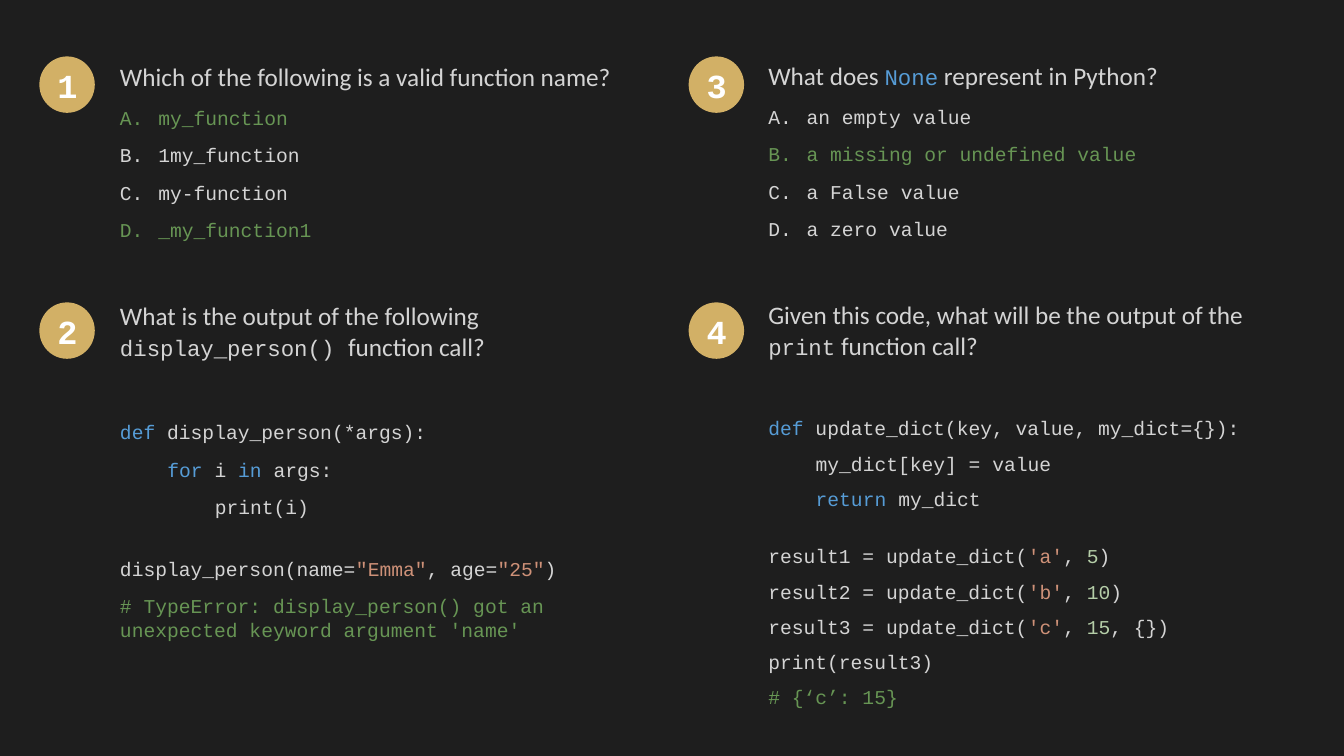
from lxml import etree
from pptx import Presentation
from pptx.dml.color import RGBColor
from pptx.enum.shapes import MSO_SHAPE
from pptx.enum.text import MSO_ANCHOR, MSO_AUTO_SIZE, PP_ALIGN
from pptx.oxml.ns import qn
from pptx.util import Pt

PX = 9144  # 100 px to the inch
OVAL = MSO_SHAPE.OVAL
TOP, MIDDLE = MSO_ANCHOR.TOP, MSO_ANCHOR.MIDDLE
NO_FIT = MSO_AUTO_SIZE.NONE
CENTER = PP_ALIGN.CENTER

SANS, MONO = "Calibri", "Courier New"
GREY, BLUE, GREEN = "D4D4D4", "569CD6", "679554"
STYLES = {
    "question": (SANS, 18, GREY),
    "inline": (MONO, 16, GREY),
    "inline keyword": (MONO, 16, BLUE),
    "code": (MONO, 14, GREY),
    "keyword": (MONO, 14, BLUE),
    "string": (MONO, 14, "CE9178"),
    "number": (MONO, 14, "B5CEA8"),
    "answer": (MONO, 14, GREEN),
}
NUMBER_INDENT = 38
CODE_INDENT = 47  # four characters of code
PARAGRAPH_GAP = 10
SECTION_GAP = 42


def rgb(colour):
    return RGBColor.from_string(colour)


def add_line(tf, runs, before=PARAGRAPH_GAP, level=0, numbered=False, spacing=None):
    """Append a paragraph of (text, style) runs, using the empty first one if free."""
    p = tf.paragraphs[0]
    if p.runs:
        p = tf.add_paragraph()
    pPr = p._p.get_or_add_pPr()
    hang = NUMBER_INDENT if numbered else 0
    pPr.set("marL", str((hang + level * CODE_INDENT) * PX))
    pPr.set("indent", str(-hang * PX))
    if numbered:
        etree.SubElement(pPr, qn("a:buFont"), typeface="+mj-lt")
        etree.SubElement(pPr, qn("a:buAutoNum"), type="alphaUcPeriod")
    else:
        etree.SubElement(pPr, qn("a:buNone"))
    p.space_before = Pt(before)
    if spacing:
        p.line_spacing = spacing
    for text, style in runs:
        r = p.add_run()
        r.text = text
        font, size, colour = STYLES[style]
        r.font.name, r.font.size = font, Pt(size)
        r.font.color.rgb = rgb(colour)


# Each column: left, top, first question, options, second question,
# line spacing of the code, code lines as (indent level, space before, runs)
columns = [
    (109, 56,
     [("Which of the following is a valid function name?", "question")],
     [("my_function", "answer"), ("1my_function", "code"),
      ("my-function", "code"), ("_my_function1", "answer")],
     [("What is the output of the following ", "question"),
      ("display_person() ", "inline"), ("function call?", "question")],
     None,
     [(0, SECTION_GAP, [("def ", "keyword"), ("display_person(*args):", "code")]),
      (1, PARAGRAPH_GAP, [("for ", "keyword"), ("i ", "code"),
                          ("in ", "keyword"), ("args:", "code")]),
      (2, PARAGRAPH_GAP, [("print(i)", "code")]),
      (0, 27, [("display_person(name=", "code"), ('"Emma"', "string"),
               (", age=", "code"), ('"25"', "string"), (")", "code")]),
      (0, PARAGRAPH_GAP, [("# TypeError: display_person() got an "
                           "unexpected keyword argument 'name'", "answer")])]),
    (752, 55,
     [("What does ", "question"), ("None", "inline keyword"),
      (" represent in Python?", "question")],
     [("an empty value", "code"), ("a missing or undefined value", "answer"),
      ("a False value", "code"), ("a zero value", "code")],
     [("Given this code, what will be the output of the ", "question"),
      ("print", "inline"), (" function call?", "question")],
     0.9,
     [(0, SECTION_GAP, [("def ", "keyword"),
                        ("update_dict(key, value, my_dict={}):", "code")]),
      (1, PARAGRAPH_GAP, [("my_dict[key] = value", "code")]),
      (1, PARAGRAPH_GAP, [("return ", "keyword"), ("my_dict", "code")]),
      (0, 26, [("result1 = update_dict(", "code"), ("'a'", "string"),
               (", ", "code"), ("5", "number"), (")", "code")]),
      (0, PARAGRAPH_GAP, [("result2 = update_dict(", "code"), ("'b'", "string"),
                          (", ", "code"), ("10", "number"), (")", "code")]),
      (0, PARAGRAPH_GAP, [("result3 = update_dict(", "code"), ("'c'", "string"),
                          (", ", "code"), ("15", "number"), (", {})", "code")]),
      (0, PARAGRAPH_GAP, [("print(result3)", "code")]),
      (0, PARAGRAPH_GAP, [("# {‘c’: 15}", "answer")])]),
]

prs = Presentation()
prs.slide_width, prs.slide_height = 1333 * PX, 750 * PX
s = prs.slides.add_slide(prs.slide_layouts[3])
s.background.fill.solid()
s.background.fill.fore_color.rgb = rgb("1E1E1E")
title = s.shapes.title._element
title.getparent().remove(title)

for body, column in zip(list(s.placeholders), columns):
    left, top, question, options, code_question, spacing, code = column
    body.left, body.top = left * PX, top * PX
    body.width, body.height = 558 * PX, 618 * PX
    tf = body.text_frame
    tf.word_wrap, tf.auto_size, tf.vertical_anchor = True, NO_FIT, TOP
    add_line(tf, question)
    for option in options:
        add_line(tf, [option], numbered=True)
    add_line(tf, code_question, before=SECTION_GAP)
    for level, before, runs in code:
        add_line(tf, runs, before, level, spacing=spacing)

badge_spots = [(x, y) for x in (39, 683) for y in (56, 300)]
for number, (x, y) in enumerate(badge_spots, start=1):
    sp = s.shapes.add_shape(OVAL, x * PX, y * PX, 55 * PX, 56 * PX)
    sp.shadow.inherit = False
    sp.line.fill.background()
    sp.fill.solid()
    sp.fill.fore_color.rgb = rgb("FFD579")
    fill_colour = sp._element.spPr.find(qn("a:solidFill"))[0]
    etree.SubElement(fill_colour, qn("a:alpha"), val="80000")
    tf = sp.text_frame
    tf.text = str(number)
    tf.vertical_anchor = MIDDLE
    p = tf.paragraphs[0]
    p.alignment = CENTER
    font = p.runs[0].font
    font.name, font.size, font.bold = MONO, Pt(24), True
    font.color.rgb = rgb("FFFFFF")

prs.save("out.pptx")
